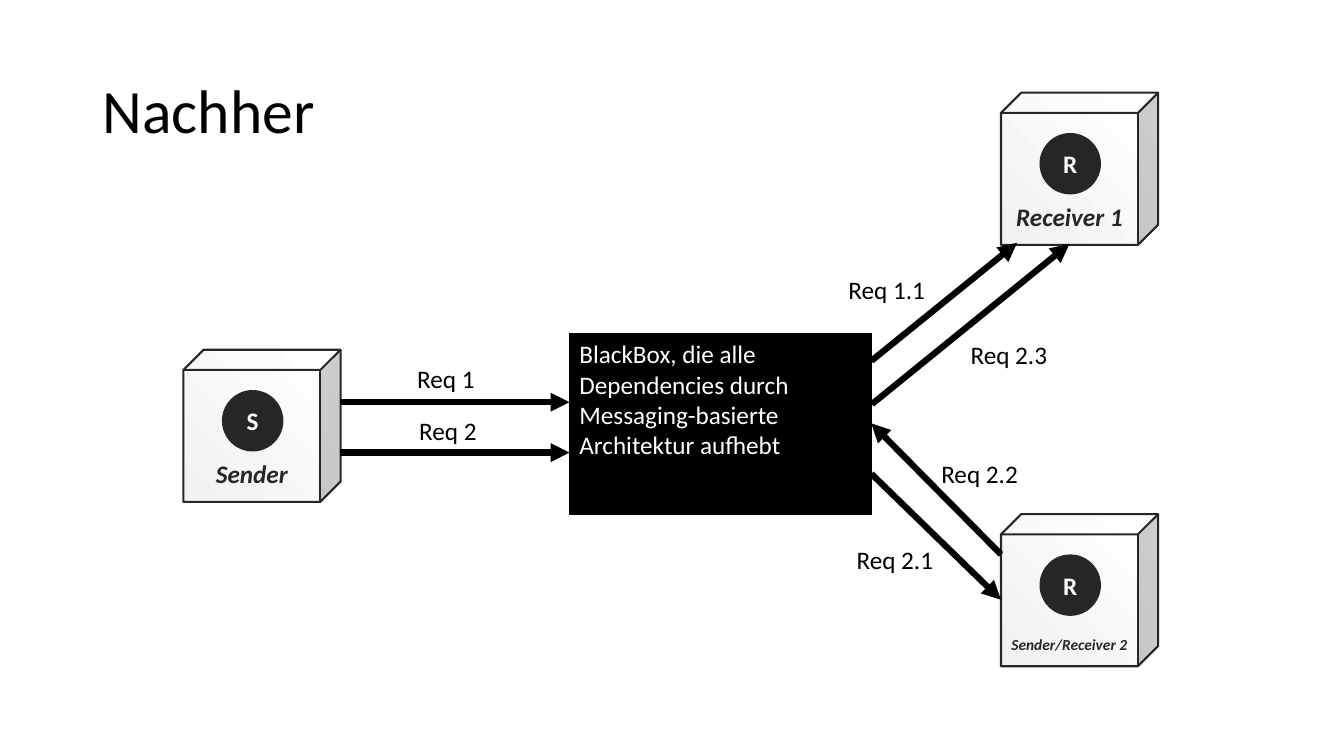
from dataclasses import dataclass
from typing import Any

import pptx
import pptx.dml.color
import pptx.enum.shapes
import pptx.enum.text
import pptx.oxml
import pptx.oxml.ns
import pptx.util

Pt = pptx.util.Pt
Kind = pptx.enum.shapes.MSO_SHAPE
Align = pptx.enum.text.PP_ALIGN
Anchor = pptx.enum.text.MSO_ANCHOR

FONT = "Calibri"
HUES = {"black": "000000", "white": "FFFFFF", "dark": "262626", "pale": "F2F2F2"}
CUBE_W, CUBE_H, DISC = 112.3, 108.7, 43.9


@dataclass
class Node:
    """A cube with a lettered disc and a name."""
    left: float
    top: float
    mark: str
    name: str
    size: float = 18


@dataclass
class Arrow:
    """A request arrow with its label."""
    x1: float
    y1: float
    x2: float
    y2: float
    label: str
    left: float
    top: float


NODES = [
    Node(131, 249.8, "S", "Sender"),
    Node(715, 66.2, "R", "Receiver 1"),
    Node(715, 367.2, "R", "Sender/Receiver 2", 11),
]
ARROWS = [
    Arrow(243, 287.3, 406.8, 287.3, "Req 1", 290.9, 255.6),
    Arrow(243, 323.3, 406.8, 323.3, "Req 2", 292.3, 293),
    Arrow(622.4, 257.8, 726.5, 173.5, "Req 1.1", 599, 192.2),
    Arrow(622.8, 288.7, 763.9, 174.2, "Req 2.3", 686.2, 239),
    Arrow(715, 396, 622.4, 302.4, "Req 2.2", 665.3, 324),
    Arrow(622.4, 338.4, 715, 428.4, "Req 2.1", 604.8, 385.2),
]


def rgb(hue: str) -> pptx.dml.color.RGBColor:
    """Look up a colour by name."""
    return pptx.dml.color.RGBColor.from_string(HUES[hue])


def write(shape: Any, text: str, size: float, hue: str, align: Any = Align.LEFT,
          anchor: Any = Anchor.TOP, bold: bool = False, slant: bool = False,
          wrap: bool = True) -> Any:
    """Put one styled run in a shape and return its text frame."""
    frame = shape.text_frame
    frame.word_wrap = wrap
    frame.vertical_anchor = anchor
    para = frame.paragraphs[0]
    para.alignment = align
    run = para.add_run()
    run.text = text
    font = run.font
    font.name, font.size, font.bold, font.italic = FONT, Pt(size), bold, slant
    font.color.rgb = rgb(hue)
    return frame


def add_text(slide: Any, left: float, top: float, wide: float, high: float) -> Any:
    """Add an empty text box."""
    return slide.shapes.add_textbox(Pt(left), Pt(top), Pt(wide), Pt(high))


def add_solid(shapes: Any, kind: Any, left: float, top: float, wide: float,
              high: float, hue: str) -> Any:
    """Add a flat shape with a plain fill and no line."""
    shape = shapes.add_shape(kind, Pt(left), Pt(top), Pt(wide), Pt(high))
    shape.shadow.inherit = False
    shape.fill.solid()
    shape.fill.fore_color.rgb = rgb(hue)
    shape.line.fill.background()
    return shape


def add_node(slide: Any, node: Node) -> None:
    """Draw a cube and its disc as one group."""
    group = slide.shapes.add_group_shape().shapes
    cube = add_solid(group, Kind.CUBE, node.left, node.top, CUBE_W, CUBE_H, "pale")
    cube.adjustments[0] = 0.133
    cube.fill.gradient()
    cube.fill.gradient_angle = 45
    for stop, hue in zip(cube.fill.gradient_stops, ("pale", "white")):
        stop.color.rgb = rgb(hue)
    cube.line.color.rgb = rgb("dark")
    cube.line.width = Pt(1.5)
    frame = write(cube, node.name, node.size, "dark", Align.CENTER, Anchor.BOTTOM,
                  bold=True, slant=True)
    frame.margin_bottom = Pt(9.4)

    disc = add_solid(group, Kind.OVAL, node.left + 27.5, node.top + 28.8,
                     DISC, DISC, "dark")
    frame = write(disc, node.mark, 18, "white", Align.CENTER, Anchor.MIDDLE, bold=True)
    frame.margin_left = frame.margin_right = 0
    frame.margin_top = frame.margin_bottom = 0


def add_arrow(slide: Any, arrow: Arrow) -> None:
    """Draw a thick arrow and its label."""
    line = slide.shapes.add_connector(
        pptx.enum.shapes.MSO_CONNECTOR.STRAIGHT,
        Pt(arrow.x1), Pt(arrow.y1), Pt(arrow.x2), Pt(arrow.y2))
    line.line.color.rgb = rgb("black")
    line.line.width = Pt(4.5)
    space = pptx.oxml.ns.nsdecls("a")
    line.line._get_or_add_ln().append(
        pptx.oxml.parse_xml(f'<a:tailEnd {space} type="triangle"/>'))
    line._element.spPr.append(pptx.oxml.parse_xml(f"<a:effectLst {space}/>"))

    wide = 56.2 if len(arrow.label) == 5 else 69.8
    label = add_text(slide, arrow.left, arrow.top, wide, 29)
    write(label, arrow.label, 18, "black", wrap=False)


def build() -> None:
    """Build and save the slide."""
    deck = pptx.Presentation()
    deck.slide_width, deck.slide_height = Pt(960), Pt(540)
    slide = deck.slides.add_slide(deck.slide_layouts[6])

    title = add_text(slide, 66.2, 28.8, 828, 104.4)
    frame = write(title, "Nachher", 44, "black", anchor=Anchor.MIDDLE)
    frame.paragraphs[0].line_spacing = 0.9

    for node in NODES:
        add_node(slide, node)
    for arrow in ARROWS:
        add_arrow(slide, arrow)

    box = add_solid(slide.shapes, Kind.RECTANGLE, 406.8, 238.3, 216, 128.9, "black")
    box.line.color.rgb = rgb("black")
    box.line.width = Pt(0.75)
    write(box, "BlackBox, die alle Dependencies durch Messaging-basierte "
               "Architektur aufhebt", 18, "white")
    deck.save("out.pptx")


build()
